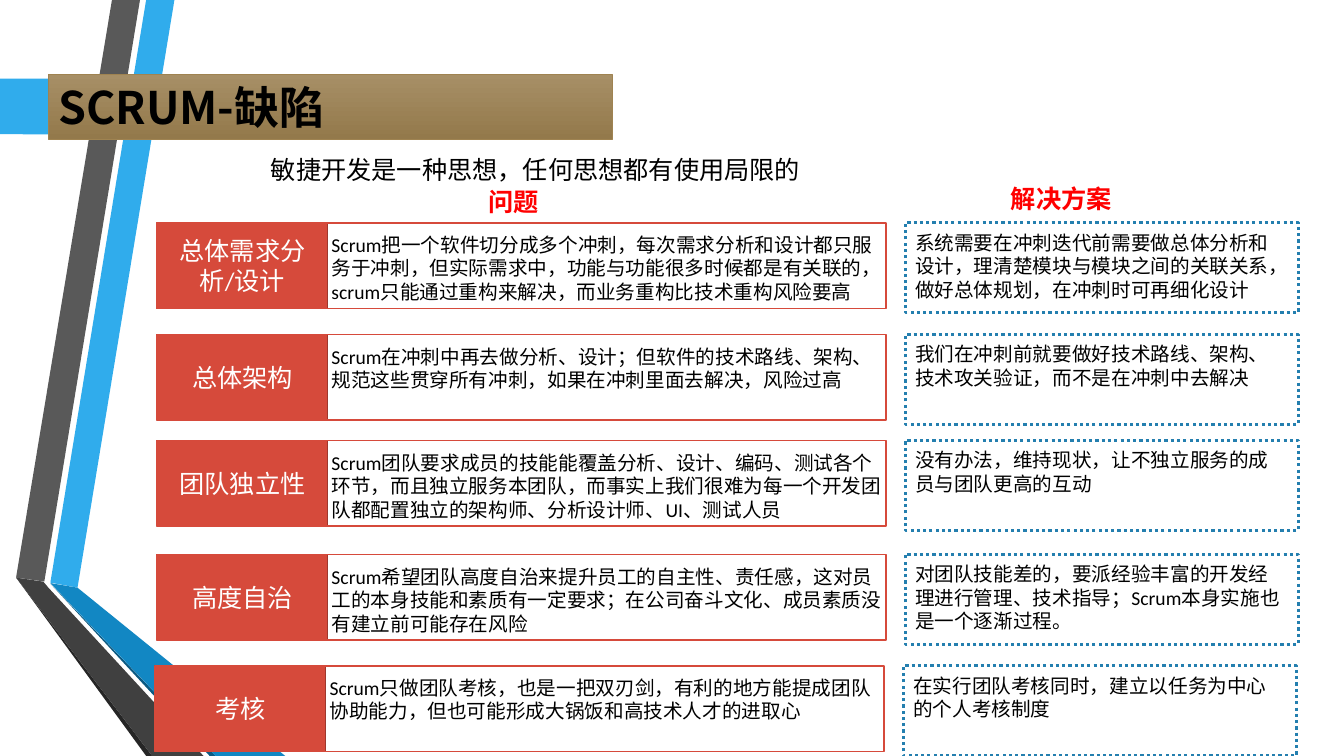
"""Build the slide on the shortcomings of Scrum and how to address them."""
import pptx
import pptx.dml.color
import pptx.enum.dml
import pptx.enum.shapes
import pptx.enum.text
import pptx.util
from lxml import etree

Pt = pptx.util.Pt
RGB = pptx.dml.color.RGBColor
RECTANGLE = pptx.enum.shapes.MSO_SHAPE.RECTANGLE
ALIGN = pptx.enum.text.PP_ALIGN
MIDDLE = pptx.enum.text.MSO_ANCHOR.MIDDLE
CJK_FONT = "Noto Sans CJK SC"

BLACK = RGB(0x00, 0x00, 0x00)
WHITE = RGB(0xFF, 0xFF, 0xFF)
HEADING_RED = RGB(0xFF, 0x00, 0x00)
LABEL_RED = RGB(0xD6, 0x4A, 0x3B)
LABEL_EDGE = RGB(0x9E, 0x37, 0x2C)
SOLUTION_BLUE = RGB(0x24, 0x7F, 0xAF)
SKY = RGB(0x30, 0xAC, 0xEC)
BLUE = RGB(0x12, 0x87, 0xC3)
NAVY = RGB(0x0C, 0x5A, 0x82)
GREY = RGB(0x59, 0x59, 0x59)
DARK_GREY = RGB(0x40, 0x40, 0x40)
CHARCOAL = RGB(0x26, 0x26, 0x26)
GOLD_TOP = RGB(0xA7, 0x8F, 0x66)
GOLD_BOTTOM = RGB(0x93, 0x79, 0x4B)
GOLD_EDGE = RGB(0x9F, 0x83, 0x51)

deck = pptx.Presentation()
deck.slide_width, deck.slide_height = Pt(960), Pt(540)
slide = deck.slides.add_slide(deck.slide_layouts[6])


def write(holder, text, size, color, bold=False, align=ALIGN.LEFT, font="Calibri"):
    frame = holder.text_frame
    frame.word_wrap = True
    frame.text = text
    paragraph = frame.paragraphs[0]
    paragraph.alignment = align
    run = paragraph.runs[0]
    run.font.size = Pt(size)
    run.font.bold = bold
    run.font.color.rgb = color
    run.font.name = font
    east_asian = etree.SubElement(run.font._element, pptx.oxml.ns.qn("a:ea"))
    east_asian.set("typeface", CJK_FONT)


def add_box(left, top, width, height, edge, edge_width, fill=None):
    box = slide.shapes.add_shape(RECTANGLE, Pt(left), Pt(top), Pt(width), Pt(height))
    box.shadow.inherit = False
    box.line.color.rgb = edge
    box.line.width = Pt(edge_width)
    if fill is None:
        box.fill.background()
    else:
        box.fill.solid()
        box.fill.fore_color.rgb = fill
    return box


ribbons = [
    (SKY, [(36, 416.2), (55.4, 419.8), (124.6, 0), (104.4, 0)]),
    (GREY, [(100, 0), (80, 0), (11.5, 412.6), (31.7, 415.4)]),
    (CHARCOAL, [(11.5, 412.6), (104.4, 540), (108.7, 540)]),
    (NAVY, [(36, 416.9), (149.8, 540), (154, 540)]),
    (BLUE, [(36, 416.5), (154, 540), (203.8, 540), (55.4, 419.8)]),
    (DARK_GREY, [(145.4, 540), (34.6, 419.8), (31, 415.5), (11.5, 412.6), (108.7, 540)]),
    (SKY, [(0, 56.2), (105.1, 56.2), (106.6, 56.9), (124.6, 74.9),
           (124.6, 77.8), (106.6, 95.8), (105.1, 96.5), (0, 95.8)]),
]
for color, corners in ribbons:
    (start_x, start_y), *others = [(Pt(x), Pt(y)) for x, y in corners]
    outline = slide.shapes.build_freeform(start_x, start_y)
    outline.add_line_segments(others, close=True)
    ribbon = outline.convert_to_shape()
    ribbon.shadow.inherit = False
    ribbon.fill.solid()
    ribbon.fill.fore_color.rgb = color
    ribbon.line.fill.background()

title = add_box(34.6, 53.3, 403.2, 46.1, GOLD_EDGE, 0.75)
title.fill.gradient()
title.fill.gradient_angle = 270
for stop, position, color in zip(title.fill.gradient_stops, (0, 1), (GOLD_TOP, GOLD_BOTTOM)):
    stop.position = position
    stop.color.rgb = color
title.text_frame.vertical_anchor = MIDDLE
write(title, "SCRUM-缺陷", 32, BLACK, bold=True, font=CJK_FONT)

headings = [
    ("敏捷开发是一种思想，任何思想都有使用局限的", 186.5, 106.6, 705.6, BLACK, False),
    ("问题", 342, 129.6, 59, HEADING_RED, True),
    ("解决方案", 715, 127.4, 109.4, HEADING_RED, True),
]
for text, left, top, width, color, bold in headings:
    heading = slide.shapes.add_textbox(Pt(left), Pt(top), Pt(width), Pt(29))
    write(heading, text, 18, color, bold)

issues = [
    (112.3, 159.1, "总体需求分析/设计",
     "Scrum把一个软件切分成多个冲刺，每次需求分析和设计都只服务于冲刺，但实际需求中，"
     "功能与功能很多时候都是有关联的，scrum只能通过重构来解决，而业务重构比技术重构风险要高",
     "系统需要在冲刺迭代前需要做总体分析和设计，理清楚模块与模块之间的关联关系，"
     "做好总体规划，在冲刺时可再细化设计"),
    (112.3, 239, "总体架构",
     "Scrum在冲刺中再去做分析、设计；但软件的技术路线、架构、规范这些贯穿所有冲刺，"
     "如果在冲刺里面去解决，风险过高",
     "我们在冲刺前就要做好技术路线、架构、技术攻关验证，而不是在冲刺中去解决"),
    (112.3, 314.6, "团队独立性",
     "Scrum团队要求成员的技能能覆盖分析、设计、编码、测试各个环节，而且独立服务本团队，"
     "而事实上我们很难为每一个开发团队都配置独立的架构师、分析设计师、UI、测试人员",
     "没有办法，维持现状，让不独立服务的成员与团队更高的互动"),
    (112.3, 396, "高度自治",
     "Scrum希望团队高度自治来提升员工的自主性、责任感，这对员工的本身技能和素质有一定要求；"
     "在公司奋斗文化、成员素质没有建立前可能存在风险",
     "对团队技能差的，要派经验丰富的开发经理进行管理、技术指导；Scrum本身实施也是一个逐渐过程。"),
    (110.9, 475.6, "考核",
     "Scrum只做团队考核，也是一把双刃剑，有利的地方能提成团队协助能力，"
     "但也可能形成大锅饭和高技术人才的进取心",
     "在实行团队考核同时，建立以任务为中心的个人考核制度"),
]
for left, top, name, problem, solution in issues:
    label = add_box(left, top, 121.7, 61.2, LABEL_EDGE, 1.25, LABEL_RED)
    label.text_frame.vertical_anchor = MIDDLE
    write(label, name, 18, WHITE, align=ALIGN.CENTER)
    add_box(left, top, 520.6, 61.2, LABEL_RED, 1.25)
    solution_border = add_box(left + 534.3, top, 280.8, 64.1, SOLUTION_BLUE, 2.25)
    solution_border.line.dash_style = pptx.enum.dml.MSO_LINE.ROUND_DOT
    for text, offset, drop, width in ((problem, 117.4, 3.6, 411.8), (solution, 534.3, 2, 280.8)):
        detail = slide.shapes.add_textbox(Pt(left + offset), Pt(top + drop), Pt(width), Pt(58.3))
        write(detail, text, 14, BLACK)

deck.save("out.pptx")
